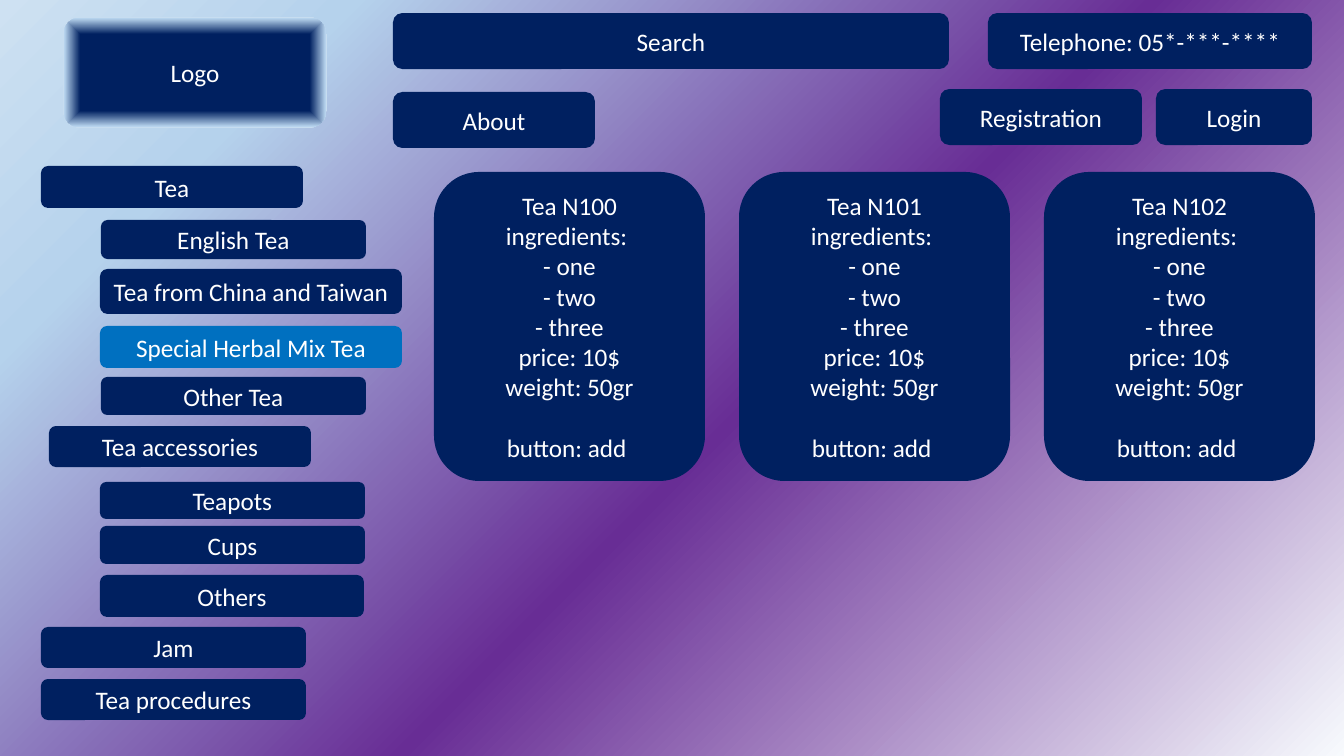
from lxml.etree import SubElement
from pptx import Presentation
from pptx.dml.color import RGBColor
from pptx.enum.shapes import MSO_SHAPE as Shape
from pptx.enum.text import MSO_ANCHOR as Anchor, PP_ALIGN as Align
from pptx.oxml.ns import qn
from pptx.util import Emu, Pt

EMU_PER_PX = 12192000 / 1344
NAVY, BLUE, WHITE = "002060", "0070C0", "FFFFFF"


def add_panel(left, top, width, height, blocks, color=NAVY):
    box = [Emu(round(px * EMU_PER_PX)) for px in (left, top, width, height)]
    panel = slide.shapes.add_shape(Shape.ROUNDED_RECTANGLE, *box)
    panel.shadow.inherit = False
    panel.fill.solid()
    panel.fill.fore_color.rgb = RGBColor.from_string(color)
    panel.line.fill.background()
    frame = panel.text_frame
    frame.word_wrap = True
    frame.vertical_anchor = Anchor.MIDDLE
    for block_no, lines in enumerate(blocks):
        paragraph = frame.add_paragraph() if block_no else frame.paragraphs[0]
        paragraph.alignment = Align.CENTER
        if block_no:
            paragraph.space_before = Pt(22)
        paragraph.font.size = Pt(18)
        for line_no, line in enumerate(lines):
            if line_no:
                paragraph.add_line_break()
            run = paragraph.add_run()
            run.text = line
            run.font.size = Pt(18)
            run.font.name = "Calibri"
            run.font.color.rgb = RGBColor.from_string(WHITE)
    return panel


def set_gradient(holder, stops, shape, focus):
    solid = holder.find(qn("a:solidFill"))
    gradient = holder.makeelement(qn("a:gradFill"), {"rotWithShape": "1"})
    holder.replace(solid, gradient)
    stop_list = SubElement(gradient, qn("a:gsLst"))
    for percent, color, alpha in stops:
        stop = SubElement(stop_list, qn("a:gs"), pos=str(percent * 1000))
        tint = SubElement(stop, qn("a:srgbClr"), val=color)
        if alpha < 100:
            SubElement(tint, qn("a:alpha"), val=str(alpha * 1000))
    route = SubElement(gradient, qn("a:path"), path=shape)
    sides = {side: str(percent * 1000) for side, percent in zip("ltrb", focus)}
    SubElement(route, qn("a:fillToRect"), **sides)


deck = Presentation()
deck.slide_width = Emu(round(1344 * EMU_PER_PX))
deck.slide_height = Emu(round(756 * EMU_PER_PX))
slide = deck.slides.add_slide(deck.slide_layouts[6])

slide.background.fill.solid()
backdrop_stops = [(0, "F7FAFD", 100), (45, "682D95", 68), (83, "B5D2EC", 100), (100, "CEE1F2", 100)]
backdrop = slide.element.find(".//" + qn("p:bgPr"))
set_gradient(backdrop, backdrop_stops, "circle", (100, 100, 0, 0))

header = [
    ("Login", 1156, 89, 156),
    ("Registration", 940, 89, 202),
    ("About", 393, 92, 202),
    ("Search", 393, 13, 556),
    ("Telephone: 05*-***-****", 988, 13, 324),
]
for label, left, top, width in header:
    add_panel(left, top, width, 56, [[label]])

logo = add_panel(63, 17, 264, 111, [["Logo"]])
logo_stops = [(69, NAVY, 100), (97, "B5D2EC", 100), (100, "CEE1F2", 100)]
set_gradient(logo.element.spPr, logo_stops, "shape", (50, 50, 50, 50))

details = ["ingredients: ", "- one", "- two", "- three", "price: 10$", "weight: 50gr"]
for number in range(3):
    product = [f"Tea N{100 + number}", *details]
    add_panel(434 + 305 * number, 172, 271, 309, [product, ["button: add "]])

menu = [
    ("Tea", 41, 166, 262, 42, NAVY),
    ("English Tea", 101, 220, 265, 39, NAVY),
    ("Tea from China and Taiwan", 100, 269, 302, 45, NAVY),
    ("Special Herbal Mix Tea", 100, 326, 302, 42, BLUE),
    ("Other Tea", 101, 377, 265, 38, NAVY),
    ("Tea accessories", 49, 426, 262, 41, NAVY),
    ("Teapots", 100, 482, 265, 37, NAVY),
    ("Cups", 100, 526, 265, 38, NAVY),
    ("Others", 100, 575, 264, 42, NAVY),
    ("Jam", 41, 627, 265, 41, NAVY),
    ("Tea procedures", 41, 679, 265, 41, NAVY),
]
for label, left, top, width, height, color in menu:
    add_panel(left, top, width, height, [[label]], color)

deck.save("out.pptx")
